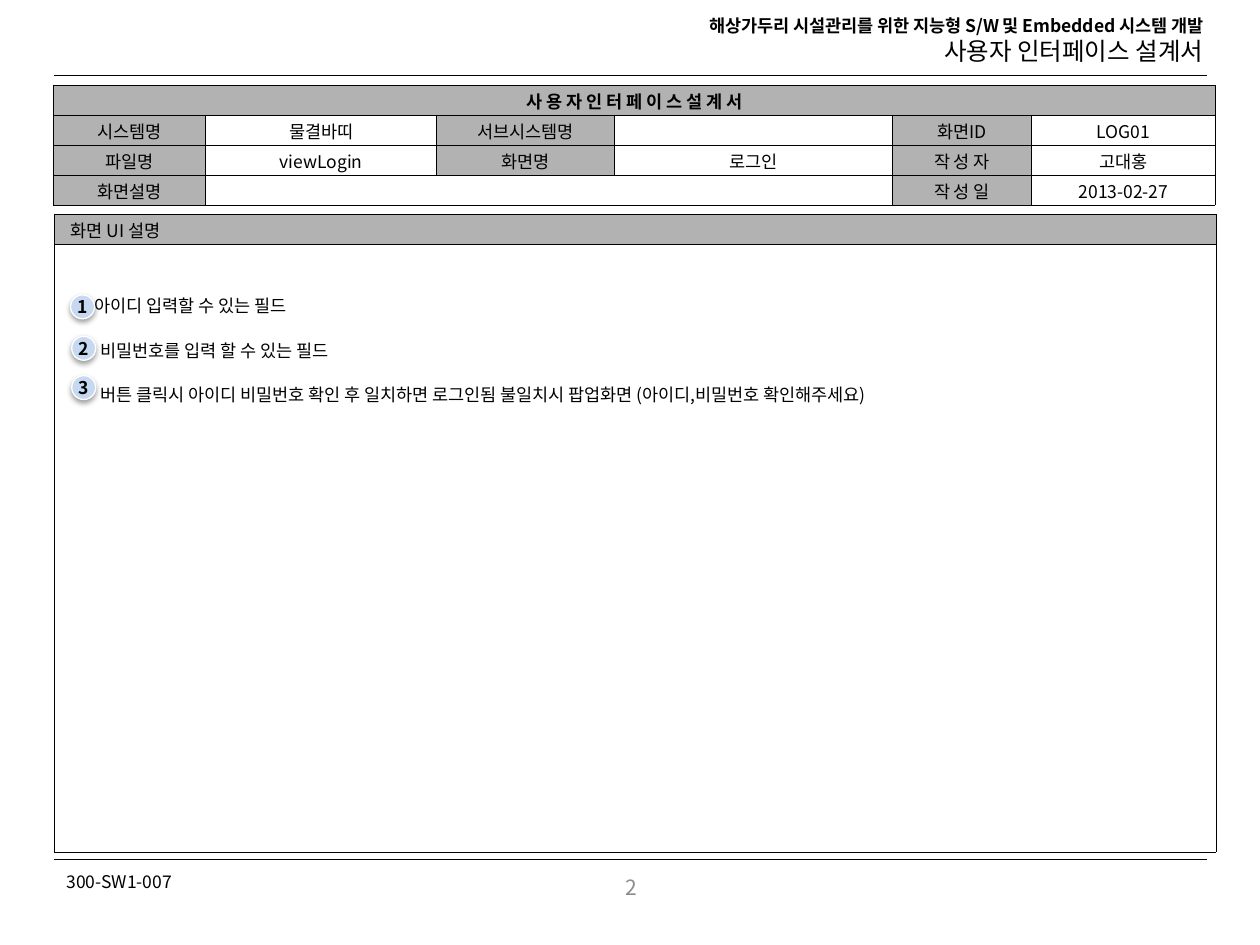
from lxml import etree
from pptx import Presentation, util as u
from pptx.dml.color import RGBColor
from pptx.enum import shapes, text
from pptx.oxml import ns, parse_xml

Pt = u.Pt
FONT = "Noto Sans CJK KR"
HUES = {"ink": "000000", "head": "B2B2B2", "page": "FFFFFF",
        "badge": "C6D9F1", "num": "8C8C8C"}
RGB = {name: RGBColor.from_string(hue) for name, hue in HUES.items()}
A = 'xmlns:a="http://schemas.openxmlformats.org/drawingml/2006/main"'
MID = text.MSO_ANCHOR.MIDDLE
LEFT, MIDDLE, RIGHT = (text.PP_ALIGN.LEFT, text.PP_ALIGN.CENTER,
                       text.PP_ALIGN.RIGHT)


def write(para, words, align=LEFT, size=10, bold=False, hue="ink"):
    para.alignment = align
    if not words:
        para._p.get_or_add_endParaRPr().set("sz", str(size * 100))
        return
    run = para.add_run()
    run.text = words
    look = {"size": Pt(size), "bold": bold, "name": FONT}
    for key, val in look.items():
        setattr(run.font, key, val)
    run.font.color.rgb = RGB[hue]
    east = etree.SubElement(run._r.get_or_add_rPr(), ns.qn("a:ea"))
    east.set("typeface", FONT)


def style(cell, hue, **form):
    base = {"margin_left": Pt(9.4), "margin_right": Pt(9.4),
            "margin_top": Pt(1), "margin_bottom": 0}
    for key, val in {**base, **form}.items():
        setattr(cell, key, val)
    props = cell._tc.get_or_add_tcPr()
    for side in ("lnL", "lnR", "lnT", "lnB"):
        props.append(parse_xml(
            f'<a:{side} {A} w="3175"><a:solidFill><a:srgbClr val="{HUES["ink"]}"/>'
            f'</a:solidFill></a:{side}>'))
    cell.fill.solid()
    cell.fill.fore_color.rgb = RGB[hue]


deck = Presentation()
deck.slide_width, deck.slide_height = Pt(720), Pt(540)
slide = deck.slides.add_slide(deck.slide_layouts[5])
items = slide.shapes

title = items.title
place = {"left": Pt(343.5), "top": Pt(5), "width": Pt(351.5), "height": Pt(37)}
for key, val in place.items():
    setattr(title, key, val)
frame = title.text_frame
frame.vertical_anchor = text.MSO_ANCHOR.TOP
frame.auto_size = text.MSO_AUTO_SIZE.NONE
heads = [("해상가두리 시설관리를 위한 지능형 S/W 및 Embedded 시스템 개발", 10, True, 12),
         ("사용자 인터페이스 설계서", 14, False, 17)]
for i, (words, size, bold, pitch) in enumerate(heads):
    para = frame.add_paragraph() if i else frame.paragraphs[0]
    para.line_spacing = Pt(pitch)
    write(para, words, RIGHT, size, bold)

for y in (43.2, 491):
    rule = items.add_connector(shapes.MSO_CONNECTOR.STRAIGHT,
                               Pt(31), Pt(y), Pt(690), Pt(y))
    rule.line.width = Pt(0.25)
    rule.line.color.rgb = RGB["ink"]
    etree.SubElement(rule._element.spPr, ns.qn("a:effectLst"))

feet = [("300-SW1-007", 494, 83.5, 19.5, LEFT, 10, "ink"),
        ("2", 492.5, 659, 29, MIDDLE, 12, "num")]
for words, y, wide, high, align, size, hue in feet:
    box = items.add_textbox(Pt(31), Pt(y), Pt(wide), Pt(high))
    box.text_frame.word_wrap = True
    box.text_frame.vertical_anchor = MID
    write(box.text_frame.paragraphs[0], words, align, size, hue=hue)

ROW = 17.1
wides = [87, 132, 101.5, 159, 79.5, 105]
rows = [["사 용 자 인 터 페 이 스 설 계 서"] + [""] * 5,
        ["시스템명", "물결바띠", "서브시스템명", "", "화면ID", "LOG01"],
        ["파일명", "viewLogin", "화면명", "로그인", "작 성 자", "고대홍"],
        ["화면설명", "", "", "", "작 성 일", "2013-02-27"]]
info = items.add_table(4, 6, Pt(30.5), Pt(48.6), Pt(sum(wides)), Pt(4 * ROW)).table
panel = items.add_table(2, 1, Pt(31), Pt(122.3), Pt(664), Pt(364.5)).table
for grid in (info, panel):
    grid.first_row = grid.horz_banding = False
for col, wide in zip(info.columns, wides):
    col.width = Pt(wide)
for r, row in enumerate(rows):
    info.rows[r].height = Pt(ROW)
    for c, words in enumerate(row):
        cell = info.cell(r, c)
        label = r == 0 or (c % 2 == 0 and (r, c) != (3, 2))
        style(cell, "head" if label else "page", vertical_anchor=MID)
        write(cell.text_frame.paragraphs[0], words, MIDDLE, bold=r == 0)
info.cell(0, 0).merge(info.cell(0, 5))
info.cell(3, 1).merge(info.cell(3, 3))

for row, high in zip(panel.rows, (ROW, 347.4)):
    row.height = Pt(high)
head, body = panel.cell(0, 0), panel.cell(1, 0)
style(head, "head", vertical_anchor=MID)
write(head.text_frame.paragraphs[0], "화면 UI 설명")
style(body, "page", margin_top=Pt(27.6))
notes = [("아이디 입력할 수 있는 필드", 13.4, 40.3, 168.5),
         ("비밀번호를 입력 할 수 있는 필드", 16.8, 41, 192.2),
         ("버튼 클릭시 아이디 비밀번호 확인 후 일치하면 로그인됨 "
          "불일치시 팝업화면 (아이디,비밀번호 확인해주세요)", 16.8, 41, 214.6)]
for i, (words, inset, x, y) in enumerate(notes):
    para = body.text_frame.add_paragraph() if i else body.text_frame.paragraphs[0]
    para.space_after = Pt(11.2)
    para._p.get_or_add_pPr().set("marL", str(Pt(inset)))
    write(para, words)
    badge = items.add_shape(shapes.MSO_SHAPE.OVAL, Pt(x), Pt(y), Pt(13.7), Pt(13.7))
    badge.fill.solid()
    badge.fill.fore_color.rgb = RGB["badge"]
    badge.line.color.rgb = RGB["page"]
    badge.line.width = Pt(0.75)
    badge._element.spPr.append(parse_xml(
        f'<a:effectLst {A}><a:outerShdw blurRad="40000" dist="20000" dir="5400000" '
        f'rotWithShape="0"><a:srgbClr val="{HUES["ink"]}"><a:alpha val="38000"/>'
        '</a:srgbClr></a:outerShdw></a:effectLst>'))
    form = {"margin_left": 0, "margin_right": 0, "margin_top": 0,
            "margin_bottom": 0, "word_wrap": False, "vertical_anchor": MID}
    for key, val in form.items():
        setattr(badge.text_frame, key, val)
    write(badge.text_frame.paragraphs[0], str(i + 1), MIDDLE, bold=True)

deck.save("out.pptx")
